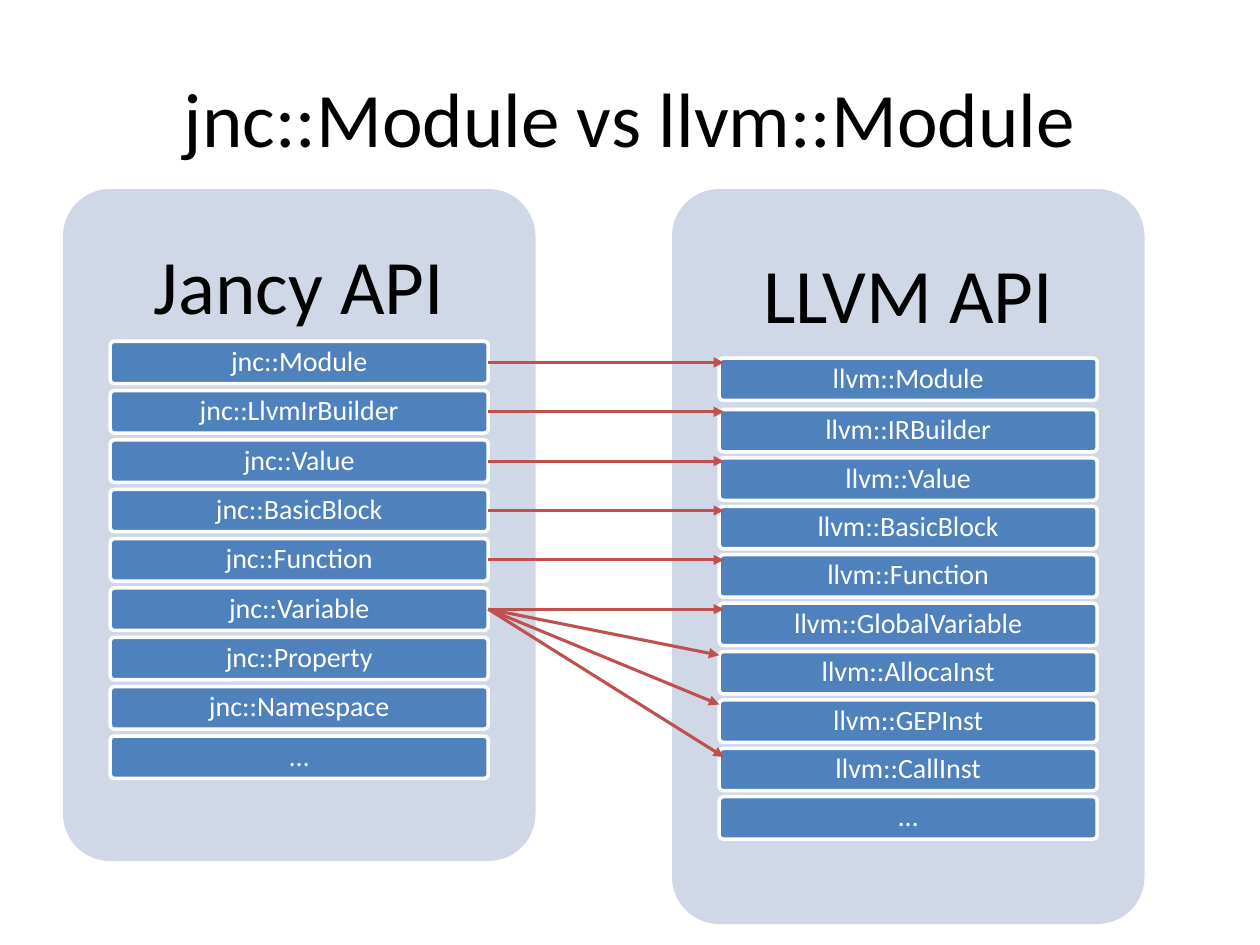
from dataclasses import dataclass

from lxml import etree
from pptx import Presentation
from pptx.dml.color import RGBColor
from pptx.enum.shapes import MSO_CONNECTOR, MSO_SHAPE
from pptx.enum.text import MSO_ANCHOR, PP_ALIGN
from pptx.oxml.ns import qn
from pptx.util import Inches, Pt

ROUNDED = MSO_SHAPE.ROUNDED_RECTANGLE
STRAIGHT = MSO_CONNECTOR.STRAIGHT
MIDDLE = MSO_ANCHOR.MIDDLE
CENTER = PP_ALIGN.CENTER

WIDTH, HEIGHT = Inches(10), Inches(7.5)
COLUMNS, ROWS = 120, 90
TITLE_ONLY = 5
PANEL_TOP, PANEL_WIDTH = 18, 45
ENTRY_INDENT, ENTRY_WIDTH, ENTRY_HEIGHT = 4.5, 36, 4.04


@dataclass(frozen=True)
class Theme:
    font: str = "Calibri"
    ink: str = "000000"
    paper: str = "FFFFFF"
    panel: str = "D0D8E8"
    entry: str = "4F81BD"
    arrow: str = "C0504D"
    heading_size: float = 44
    entry_size: float = 16
    border_width: float = 2
    arrow_width: float = 1.75


def cols(count):
    return round(WIDTH * count / COLUMNS)


def rows(count):
    return round(HEIGHT * count / ROWS)


def write(frame, text, *, font, size, color, insets=(0.05, 0.04, 0.05, 0.04), spacing=None):
    frame.word_wrap = True
    frame.vertical_anchor = MIDDLE
    (frame.margin_left, frame.margin_top,
     frame.margin_right, frame.margin_bottom) = map(Inches, insets)
    paragraph = frame.paragraphs[0]
    paragraph.alignment = CENTER
    paragraph.line_spacing = spacing
    run = paragraph.add_run()
    run.text = text
    run.font.name = font
    run.font.size = Pt(size)
    run.font.color.rgb = RGBColor.from_string(color)


class ApiDiagram:
    """Draws panels, entries and arrows on one slide in a shared theme."""

    def __init__(self, slide, theme):
        self.slide = slide
        self.theme = theme

    def title(self, text, left, top, width, height):
        heading = self.slide.shapes.title
        heading.left, heading.top = cols(left), rows(top)
        heading.width, heading.height = cols(width), rows(height)
        write(heading.text_frame, text, font=self.theme.font,
              size=self.theme.heading_size, color=self.theme.ink)

    def block(self, left, top, width, height, color):
        block = self.slide.shapes.add_shape(
            ROUNDED, cols(left), rows(top), cols(width), rows(height))
        block.adjustments[0] = 0.1
        block.shadow.inherit = False
        block.fill.solid()
        block.fill.fore_color.rgb = RGBColor.from_string(color)
        block.line.fill.background()
        return block

    def panel(self, heading, left, height, insets):
        panel = self.block(left, PANEL_TOP, PANEL_WIDTH, height, self.theme.panel)
        write(panel.text_frame, heading, font=self.theme.font, spacing=0.9,
              size=self.theme.heading_size, color=self.theme.ink, insets=insets)

    def entry(self, text, left, top):
        entry = self.block(left, top, ENTRY_WIDTH, ENTRY_HEIGHT, self.theme.entry)
        entry.line.color.rgb = RGBColor.from_string(self.theme.paper)
        entry.line.width = Pt(self.theme.border_width)
        write(entry.text_frame, text, font=self.theme.font, spacing=0.9,
              size=self.theme.entry_size, color=self.theme.paper)

    def entries(self, names, left, first, second, pitch):
        tops = [first] + [second + pitch * i for i in range(len(names) - 1)]
        for name, top in zip(names, tops):
            self.entry(name, left + ENTRY_INDENT, top)
        return [top + ENTRY_HEIGHT / 2 for top in tops]

    def arrow(self, start, end):
        arrow = self.slide.shapes.add_connector(
            STRAIGHT, cols(start[0]), rows(start[1]), cols(end[0]), rows(end[1]))
        arrow.line.color.rgb = RGBColor.from_string(self.theme.arrow)
        arrow.line.width = Pt(self.theme.arrow_width)
        properties = arrow._element.spPr
        etree.SubElement(properties.find(qn("a:ln")), qn("a:tailEnd"), type="triangle")
        etree.SubElement(properties, qn("a:effectLst"))


JANCY = ["Module", "LlvmIrBuilder", "Value", "BasicBlock", "Function",
         "Variable", "Property", "Namespace"]
LLVM = ["Module", "IRBuilder", "Value", "BasicBlock", "Function",
        "GlobalVariable", "AllocaInst", "GEPInst", "CallInst"]
JANCY_LEFT, LLVM_LEFT = 6, 64
ARROW_START, ARROW_END = 46.5, 68.95
VARIABLE_TARGETS = [(68.5, 62.4), (68.5, 67.1), (68.95, 72.1)]

presentation = Presentation()
presentation.slide_width, presentation.slide_height = WIDTH, HEIGHT
diagram = ApiDiagram(
    presentation.slides.add_slide(presentation.slide_layouts[TITLE_ONLY]), Theme())

diagram.title("jnc::Module vs llvm::Module", 6, 3.6, 108, 15)
diagram.panel("Jancy API", JANCY_LEFT, 64, (0.2, 0.2, 0.2, 3.94))
jancy_centers = diagram.entries(
    [f"jnc::{name}" for name in JANCY] + ["…"], JANCY_LEFT, 32.5, 37.2, 4.7)
diagram.panel("LLVM API", LLVM_LEFT, 70, (0.18, 0.18, 0.18, 4.27))
diagram.entries(
    [f"llvm::{name}" for name in LLVM] + ["…"], LLVM_LEFT, 34.1, 39, 4.61)

variable = JANCY.index("Variable")
for center in jancy_centers[:variable + 1]:
    diagram.arrow((ARROW_START, center), (ARROW_END, center))
for target in VARIABLE_TARGETS:
    diagram.arrow((ARROW_START, jancy_centers[variable]), target)

presentation.save("out.pptx")
